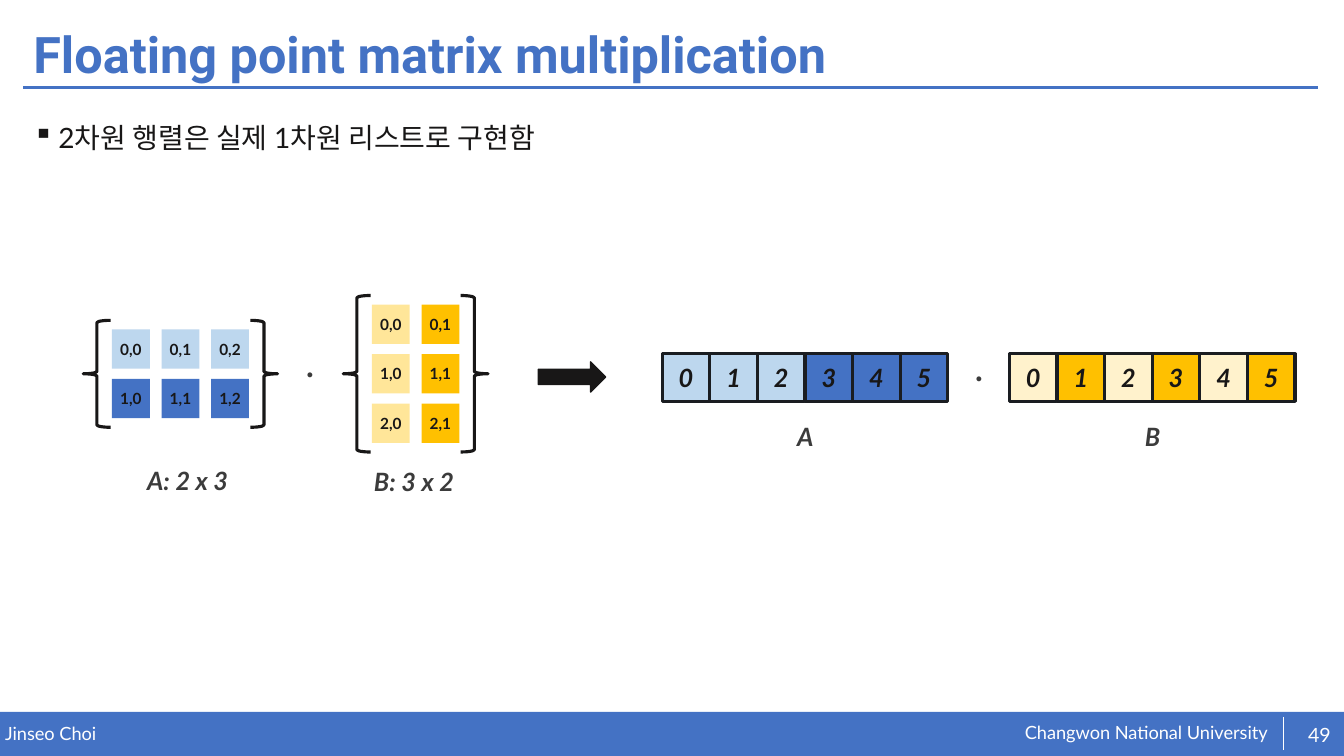
from lxml import etree
from pptx import Presentation
from pptx.dml.color import RGBColor
from pptx.enum.shapes import MSO_CONNECTOR, MSO_SHAPE
from pptx.enum.text import MSO_ANCHOR, MSO_AUTO_SIZE, PP_ALIGN
from pptx.oxml.ns import qn
from pptx.util import Pt

RECTANGLE, ARROW = MSO_SHAPE.RECTANGLE, MSO_SHAPE.RIGHT_ARROW
LEFT_BRACE, RIGHT_BRACE = MSO_SHAPE.LEFT_BRACE, MSO_SHAPE.RIGHT_BRACE
STRAIGHT = MSO_CONNECTOR.STRAIGHT
TOP, MIDDLE = MSO_ANCHOR.TOP, MSO_ANCHOR.MIDDLE
LEFT, CENTER = PP_ALIGN.LEFT, PP_ALIGN.CENTER
NO_FIT = MSO_AUTO_SIZE.NONE

COLORS = {
    "blue": "4472C4", "light blue": "BDD7EE", "gold": "FFC000",
    "light gold": "FFE699", "cream": "FFF2CC", "white": "FFFFFF",
    "ink": "181717", "gray": "3B3B3B", "outline": "1A1D21",
}

# Content
TITLE = "Floating point matrix multiplication"
BULLET = "2차원 행렬은 실제 1차원 리스트로 구현함"
# Left edge and cell colours, row by row
MATRICES = [
    (80, [["light blue"] * 3, ["blue"] * 3]),
    (265.7, [["light gold", "gold"]] * 3),
]
# Left edge and cell colours
LISTS = [
    (473, ["light blue"] * 3 + ["blue"] * 3),
    (721, ["cream", "gold"] * 3),
]
LABELS = [("A: 2 x 3", 98, 329), ("B: 3 x 2", 260, 329.5),
          ("A", 562.3, 297.4), ("B", 810.7, 297.4)]
DOTS = [(211, 238.3), (689, 241.2)]
FOOTER = [  # text, box, format name
    ("Changwon National University", (732, 515.5, 192, 17), "footer"),
    ("Jinseo Choi", (3.6, 516.2, 472, 16), "footer"),
    ("49", (925.2, 510.5, 34.6, 28.8), "page"),
]

# Text formats: font values, colour, alignment, anchor, insets
FORMATS = {
    "title": ({"name": "Roboto", "size": Pt(36), "bold": True}, "blue", LEFT, MIDDLE, (7.2, 3.6)),
    "body": ({"size": Pt(20)}, "ink", LEFT, TOP, (7.2, 3.6)),
    "footer": ({"size": Pt(13)}, "white", LEFT, TOP, (0, 0)),
    "page": ({"size": Pt(14)}, "white", CENTER, MIDDLE, (0, 0)),
    "label": ({"size": Pt(18), "bold": True, "italic": True}, "gray", LEFT, TOP, (7.2, 3.6)),
    "dot": ({"size": Pt(28)}, "gray", LEFT, TOP, (7.2, 3.6)),
    "index": ({"size": Pt(11), "bold": True}, "ink", CENTER, MIDDLE, (0, 0)),
    "item": ({"size": Pt(18), "bold": True, "italic": True}, "ink", CENTER, MIDDLE, (0, 0)),
}

# Geometry in points
CELL_WIDTH, CELL_HEIGHT, CELL_STEP = 27, 28, 35.4
MATRIX_MIDDLE = 267
BRACE_WIDTH, BRACE_GAP, BRACE_EXTRA = 19.5, 1, 13
ITEM_TOP, ITEM_SIDE = 252.7, 34


def color(name):
    return RGBColor.from_string(COLORS[name])


def write(shape, text, format_name):
    font_values, text_color, alignment, anchor, (side, end) = FORMATS[format_name]
    frame = shape.text_frame
    frame_values = {
        "word_wrap": True, "auto_size": NO_FIT, "vertical_anchor": anchor,
        "margin_left": Pt(side), "margin_right": Pt(side),
        "margin_top": Pt(end), "margin_bottom": Pt(end),
    }
    for name, value in frame_values.items():
        setattr(frame, name, value)
    paragraph = frame.paragraphs[0]
    paragraph.alignment = alignment
    run = paragraph.add_run()
    run.text = text
    for name, value in {"name": "Lato", **font_values}.items():
        setattr(run.font, name, value)
    run.font.color.rgb = color(text_color)
    return paragraph


def add_text(slide, text, box, format_name):
    return write(slide.shapes.add_textbox(*map(Pt, box)), text, format_name)


def add_block(slide, kind, box, fill=None, line=None, width=2.25):
    shape = slide.shapes.add_shape(kind, *map(Pt, box))
    shape.shadow.inherit = False
    if fill:
        shape.fill.solid()
        shape.fill.fore_color.rgb = color(fill)
    else:
        shape.fill.background()
    if line:
        shape.line.color.rgb = color(line)
        shape.line.width = Pt(width)
    else:
        shape.line.fill.background()
    return shape


def add_rule(slide, ends, line, width):
    rule = slide.shapes.add_connector(STRAIGHT, *map(Pt, ends))
    rule.line.color.rgb = color(line)
    rule.line.width = Pt(width)
    etree.SubElement(rule._element.spPr, qn("a:effectLst"))


def add_matrix(slide, left, rows):
    width = (len(rows[0]) - 1) * CELL_STEP + CELL_WIDTH
    height = (len(rows) - 1) * CELL_STEP + CELL_HEIGHT
    top = MATRIX_MIDDLE - height / 2
    brace_height = height + BRACE_EXTRA
    brace_top = MATRIX_MIDDLE - brace_height / 2
    for kind, brace_left in ((LEFT_BRACE, left - BRACE_GAP - BRACE_WIDTH),
                             (RIGHT_BRACE, left + width + BRACE_GAP)):
        add_block(slide, kind, (brace_left, brace_top, BRACE_WIDTH, brace_height), line="ink")
    for row, fills in enumerate(rows):
        for column, fill in enumerate(fills):
            box = (left + column * CELL_STEP, top + row * CELL_STEP, CELL_WIDTH, CELL_HEIGHT)
            write(add_block(slide, RECTANGLE, box, fill), f"{row},{column}", "index")


def add_list(slide, left, fills):
    for index, fill in enumerate(fills):
        box = (left + index * ITEM_SIDE, ITEM_TOP, ITEM_SIDE, ITEM_SIDE)
        write(add_block(slide, RECTANGLE, box, fill, "outline"), str(index), "item")


def main():
    presentation = Presentation()
    presentation.slide_width, presentation.slide_height = Pt(960), Pt(540)
    slide = presentation.slides.add_slide(presentation.slide_layouts[5])

    # Footer bar and rules
    add_block(slide, RECTANGLE, (0, 508.5, 960, 31.5), "blue")
    for text, box, format_name in FOOTER:
        add_text(slide, text, box, format_name)
    add_rule(slide, (16.6, 62.6, 941.8, 62.6), "blue", 2)
    add_rule(slide, (916.6, 512, 916.6, 535.7), "white", 0.5)

    # Title
    title = slide.shapes.title
    title.left, title.top, title.width, title.height = map(Pt, (16.6, 13, 926, 55.4))
    write(title, TITLE, "title").line_spacing = 0.9

    # Bullet
    paragraph = add_text(slide, BULLET, (16.6, 72.7, 926, 405.4), "body")
    paragraph.line_spacing = 1.4
    properties = paragraph._p.get_or_add_pPr()
    properties.set("marL", str(Pt(18)))
    properties.set("indent", str(-Pt(18)))
    etree.SubElement(properties, qn("a:buChar"), char="▪")

    # Matrices, arrow and lists
    for left, rows in MATRICES:
        add_matrix(slide, left, rows)
    add_block(slide, ARROW, (384.5, 258.5, 48.2, 21.6), "ink", "ink", 1)
    for left, fills in LISTS:
        add_list(slide, left, fills)

    # Product dots and captions
    for left, top in DOTS:
        add_text(slide, ".", (left, top, 40.3, 35.3), "dot")
    for text, left, top in LABELS:
        add_text(slide, text, (left, top, 75.6, 28.8), "label")

    presentation.save("out.pptx")


if __name__ == "__main__":
    main()
